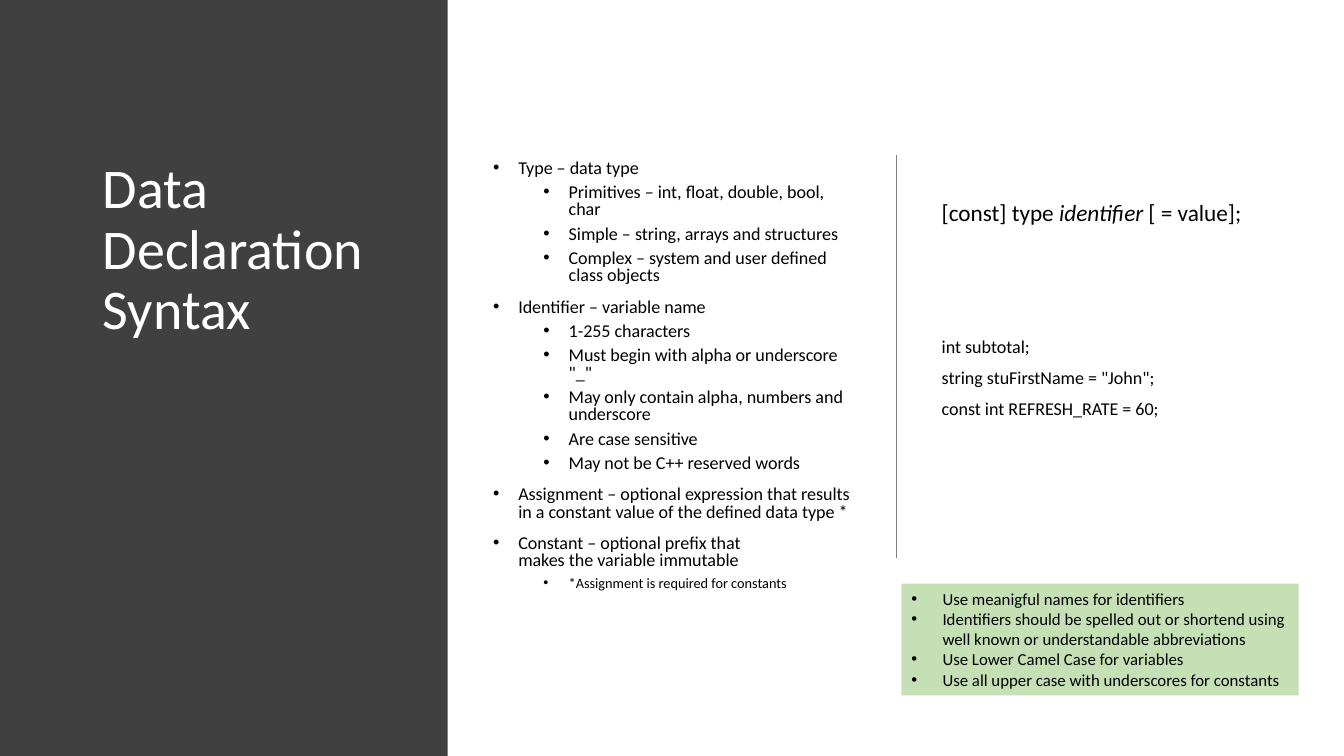
import pptx
import pptx.util
import pptx.dml.color
import pptx.enum.shapes
import pptx.enum.text
import pptx.oxml.ns
import lxml.etree

Inches, Pt = pptx.util.Inches, pptx.util.Pt
COLORS = {"dark": "404040", "white": "FFFFFF", "black": "000000",
          "rule": "808080", "green": "C5E0B4"}
RGB = {k: pptx.dml.color.RGBColor.from_string(v) for k, v in COLORS.items()}
FONT = "Calibri"
TOP, TALL = 1.54, 4.77


def style(para, size, color="black", spacing=1.0, before=0, left=0, bullet=False):
    """Format a paragraph and its runs, with an optional hanging bullet."""
    para.alignment = pptx.enum.text.PP_ALIGN.LEFT
    para.line_spacing = spacing
    para.space_before = Pt(before)
    props = para._p.get_or_add_pPr()
    hang = min(left, 0.31) if para.level == 0 else 0.25
    props.set("marL", str(Inches(left)))
    props.set("indent", str(-Inches(hang)))
    qn = pptx.oxml.ns.qn
    if bullet:
        lxml.etree.SubElement(props, qn("a:buFont"), typeface="Arial")
        lxml.etree.SubElement(props, qn("a:buChar"), char="•")
    else:
        lxml.etree.SubElement(props, qn("a:buNone"))
    for run in para.runs:
        run.font.name = FONT
        run.font.size = Pt(size)
        run.font.color.rgb = RGB[color]


def place(shape, left, top, width, height):
    """Move a placeholder and anchor its text at the top; return its frame."""
    shape.left, shape.top = Inches(left), Inches(top)
    shape.width, shape.height = Inches(width), Inches(height)
    frame = shape.text_frame
    frame.word_wrap = True
    frame.auto_size = pptx.enum.text.MSO_AUTO_SIZE.NONE
    frame.vertical_anchor = pptx.enum.text.MSO_ANCHOR.TOP
    return frame


deck = pptx.Presentation()
deck.slide_width, deck.slide_height = Inches(13.33), Inches(7.5)
slide = deck.slides.add_slide(deck.slide_layouts[3])
shapes = slide.shapes
title, terms, code = slide.placeholders
RECT = pptx.enum.shapes.MSO_SHAPE.RECTANGLE

# Dark panel behind the title
panel = shapes.add_shape(RECT, 0, 0, Inches(4.44), Inches(7.5))
panel.shadow.inherit = False
panel.fill.solid()
panel.fill.fore_color.rgb = RGB["dark"]
panel.line.fill.background()
title.element.addprevious(panel.element)

frame = place(title, 0.92, TOP, 3.17, TALL)
frame.text = "Data Declaration Syntax"
style(frame.paragraphs[0], 40, "white", spacing=0.9)

# Parts of a declaration
items = [
    (0, "Type – data type"),
    (1, "Primitives – int, float, double, bool, char"),
    (1, "Simple – string, arrays and structures"),
    (1, "Complex – system and user defined class objects"),
    (0, "Identifier – variable name"),
    (1, "1-255 characters"),
    (1, 'Must begin with alpha or underscore "_"'),
    (1, "May only contain alpha, numbers and underscore"),
    (1, "Are case sensitive"),
    (1, "May not be C++ reserved words"),
    (0, "Assignment – optional expression that results in a constant value "
        "of the defined data type *"),
    (0, "Constant – optional prefix that makes\u00a0the\u00a0variable immutable "),
    (1, "*Assignment is required for constants"),
]
frame = place(terms, 4.79, TOP, 3.75, TALL)
frame.text = "\n".join(text for level, text in items)
for para, (level, text) in zip(frame.paragraphs, items):
    para.level = level
    style(para, 10.2 if text.startswith("*") else 12.9, spacing=0.8,
          before=5 if level else 10, left=0.75 if level else 0.25, bullet=True)

# Divider
rule = shapes.add_connector(pptx.enum.shapes.MSO_CONNECTOR.STRAIGHT,
                            Inches(8.89), Inches(TOP), Inches(8.89), Inches(5.54))
rule.line.color.rgb = RGB["rule"]
rule.line.width = Pt(1)
lxml.etree.SubElement(rule.element.spPr, pptx.oxml.ns.qn("a:effectLst"))

# Syntax line and samples
frame = place(code, 9.24, TOP, 3.5, TALL)
frame.margin_top = Inches(0.48)
samples = ["int subtotal;", 'string stuFirstName = "John";',
           "const int REFRESH_RATE = 60;"]
frame.text = "\n".join([""] + samples)
syntax = frame.paragraphs[0]
for text in ("[const] type ", "identifier", " [ = value];"):
    run = syntax.add_run()
    run.text = text
    run.font.italic = text == "identifier"
style(syntax, 16.6, spacing=0.8)
for row, para in enumerate(frame.paragraphs[1:]):
    style(para, 12.9, spacing=0.8, before=10 if row else 81)

# Naming advice
tips = ["Use meanigful names for identifiers",
        "Identifiers should be spelled out or shortend using well known or "
        "understandable abbreviations\u00a0",
        "Use Lower Camel Case for variables",
        "Use all upper case with underscores for constants"]
note = shapes.add_shape(RECT, Inches(8.94), Inches(5.79), Inches(3.94), Inches(1.11))
note.shadow.inherit = False
note.fill.solid()
note.fill.fore_color.rgb = RGB["green"]
note.line.fill.background()
frame = note.text_frame
frame.word_wrap = True
frame.auto_size = pptx.enum.text.MSO_AUTO_SIZE.SHAPE_TO_FIT_TEXT
frame.vertical_anchor = pptx.enum.text.MSO_ANCHOR.TOP
frame.text = "\n".join(tips)
for para in frame.paragraphs:
    style(para, 12, left=0.31, bullet=True)

deck.save("out.pptx")
